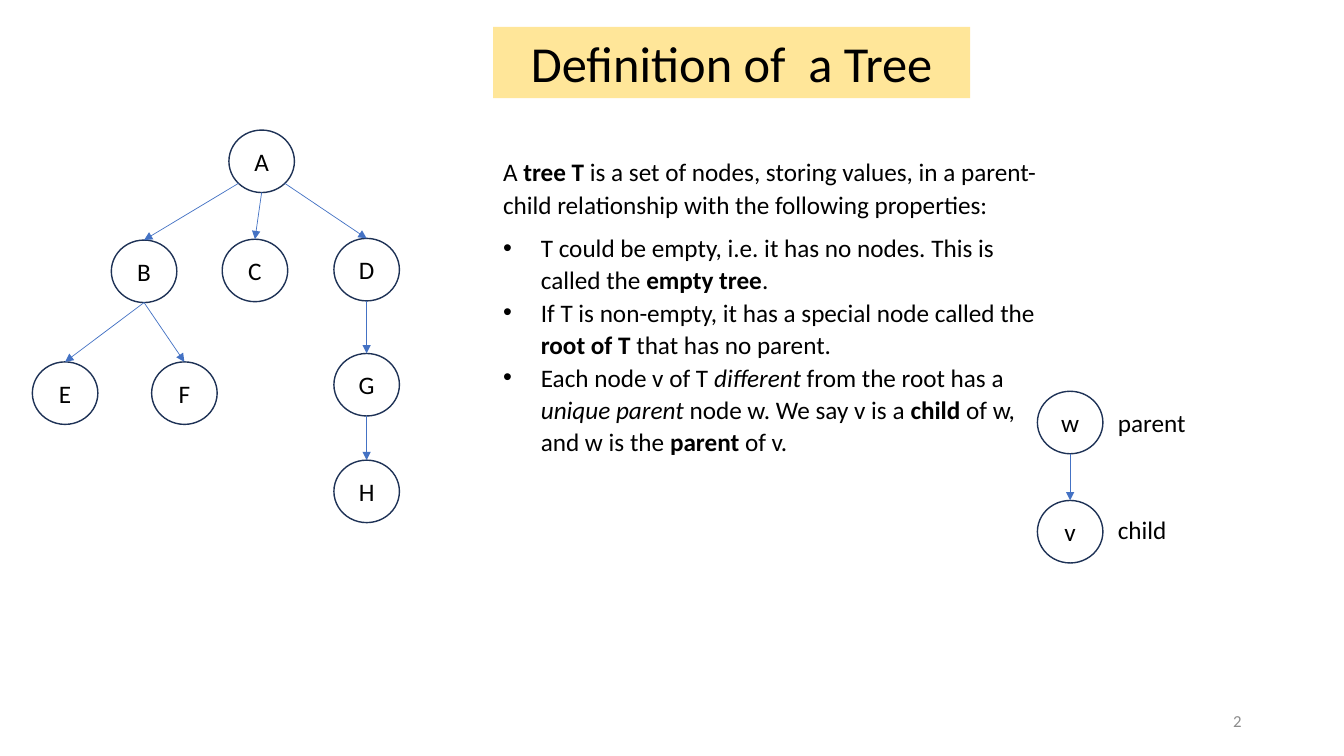
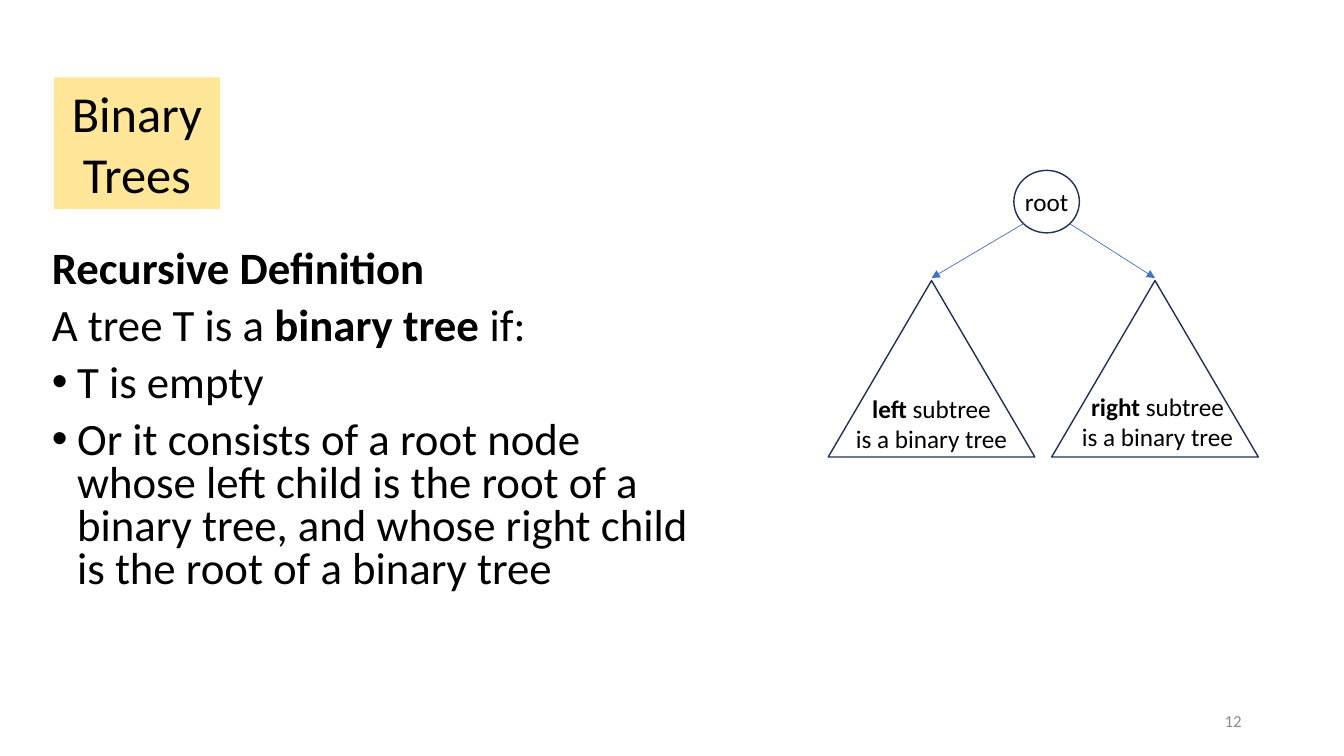
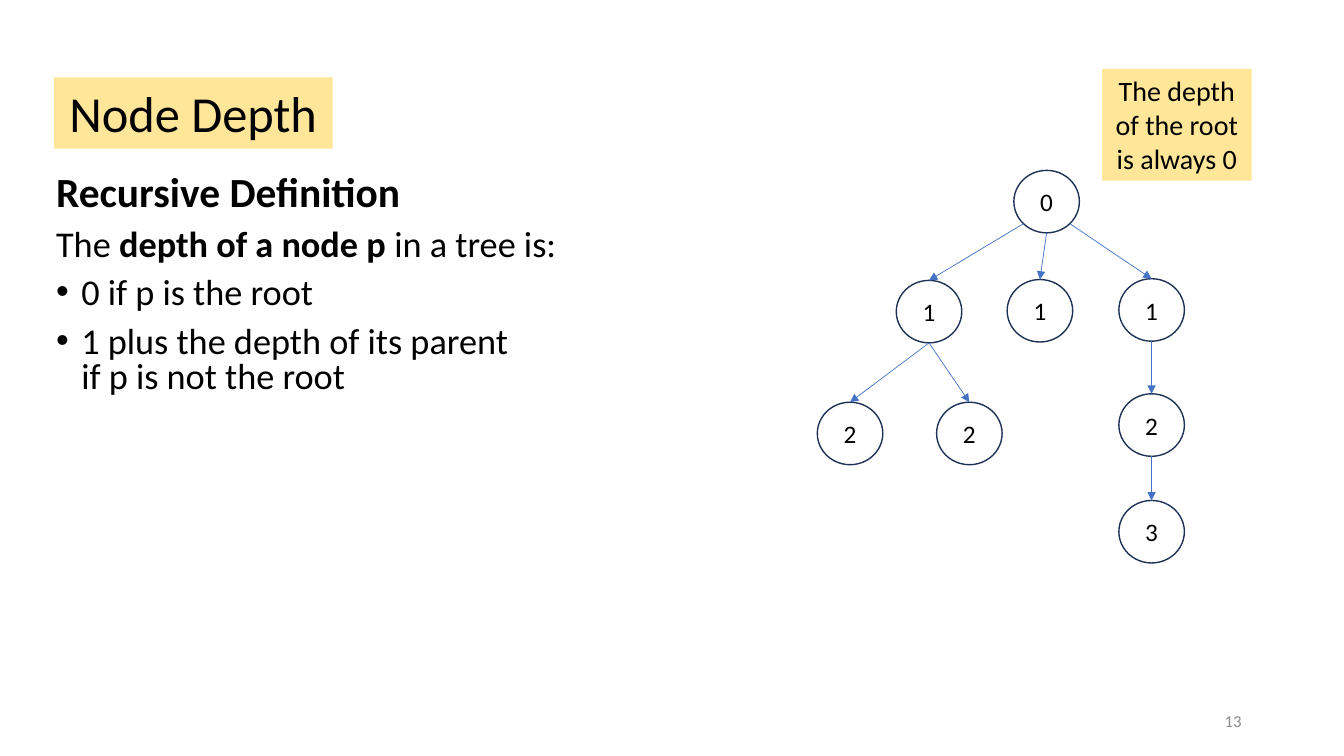
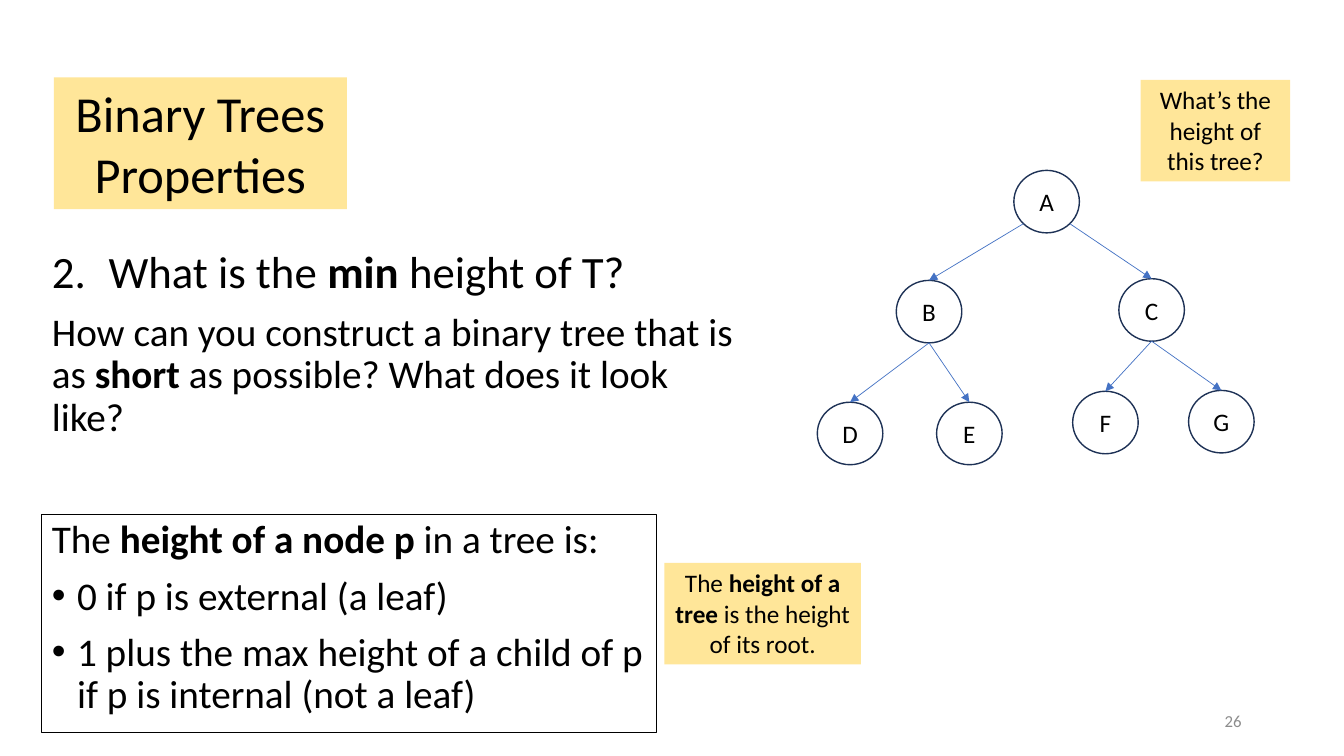
from math import sqrt

from lxml.etree import SubElement
from pptx import Presentation
from pptx.dml.color import RGBColor
from pptx.enum.shapes import MSO_CONNECTOR as Line, MSO_SHAPE as Preset
from pptx.enum.text import MSO_ANCHOR as Anchor, PP_ALIGN as Align
from pptx.oxml.ns import qn
from pptx.util import Inches, Pt

BLACK = RGBColor(0x00, 0x00, 0x00)
GRAY = RGBColor(0x8C, 0x8C, 0x8C)
NAVY = RGBColor(0x1E, 0x32, 0x56)
BLUE = RGBColor(0x44, 0x72, 0xC4)
SAND = RGBColor(0xFF, 0xE6, 0x99)

FONT = "Calibri"
COLUMNS, ROWS = 160, 90
SLIDE_WIDTH, SLIDE_HEIGHT = Inches(40 / 3), Inches(7.5)
NODE_WIDTH, NODE_HEIGHT = 7.8, 7.44
DIAGONAL = sqrt(0.5)
BULLET_INDENT = 3

GENERAL_TREE = {
    "A": (0, 0, None),
    "B": (-14, 13.1, "A"),
    "C": (-0.8, 13, "A"),
    "D": (12.5, 12.9, "A"),
    "E": (-23.4, 27.6, "B"),
    "F": (-9.2, 27.6, "B"),
    "G": (12.5, 26.6, "D"),
    "H": (12.5, 39.3, "G"),
}
BINARY_TREE = {
    "A": (0, 0, None),
    "B": (-14, 13.1, "A"),
    "C": (12.5, 12.9, "A"),
    "D": (-23.4, 27.6, "B"),
    "E": (-9.2, 27.6, "B"),
    "F": (7, 26.3, "C"),
    "G": (20.8, 26.2, "C"),
}
PARENT_AND_CHILD = {"w": (0, 0, None), "v": (0, 13, "w")}
ROOT_PLACE = (124.6, 24)


def across(columns):
    return round(SLIDE_WIDTH * columns / COLUMNS)


def down(rows):
    return round(SLIDE_HEIGHT * rows / ROWS)


def depth(tree, name):
    parent = tree[name][2]
    return 0 if parent is None else 1 + depth(tree, parent)


def write(frame, text, size=18, color=BLACK, align=Align.LEFT, spacing=1.0,
          before=0, after=0, indent=0, bullet=None, number=None):
    """Add a paragraph in which *stars* mark bold and _underscores_ mark italic."""
    first = frame.paragraphs[0]
    para = frame.add_paragraph() if first.runs else first
    para.alignment = align
    para.line_spacing = spacing
    para.space_before, para.space_after = Pt(before), Pt(after)
    if indent:
        layout = para._p.get_or_add_pPr()
        layout.set("marL", str(across(indent)))
        layout.set("indent", str(-across(indent)))
        if number:
            SubElement(layout, qn("a:buAutoNum"), type="arabicPeriod", startAt=str(number))
        else:
            SubElement(layout, qn("a:buFont"), typeface="Arial")
            SubElement(layout, qn("a:buChar"), char=bullet)
    for bold_index, bold_part in enumerate(text.split("*")):
        for italic_index, part in enumerate(bold_part.split("_")):
            for line_index, line in enumerate(part.split("\n")):
                if line_index:
                    para.add_line_break()
                if line:
                    span = para.add_run()
                    span.text = line
                    span.font.name, span.font.size = FONT, Pt(size)
                    span.font.color.rgb = color
                    span.font.bold = bold_index % 2 == 1
                    span.font.italic = italic_index % 2 == 1


class TreeDeck:
    def __init__(self):
        self.deck = Presentation()
        self.deck.slide_width, self.deck.slide_height = SLIDE_WIDTH, SLIDE_HEIGHT
        self.page = None

    def start_page(self, number):
        self.page = self.deck.slides.add_slide(self.deck.slide_layouts[6])
        frame = self.text_box(113, 83.4, 36, 4.8)
        frame.vertical_anchor = Anchor.MIDDLE
        write(frame, str(number), size=12, color=GRAY, align=Align.RIGHT)

    def text_box(self, left, top, width, height):
        box = self.page.shapes.add_textbox(across(left), down(top), across(width), down(height))
        box.text_frame.word_wrap = True
        return box.text_frame

    def shape(self, preset, left, top, width, height, fill=None, line=None, weight=1):
        shape = self.page.shapes.add_shape(
            preset, across(left), down(top), across(width), down(height))
        shape.shadow.inherit = False
        if fill is None:
            shape.fill.background()
        else:
            shape.fill.solid()
            shape.fill.fore_color.rgb = fill
        if line is None:
            shape.line.fill.background()
        else:
            shape.line.color.rgb = line
            shape.line.width = Pt(weight)
        shape.text_frame.vertical_anchor = Anchor.TOP
        return shape

    def card(self, text, left, top, width, height, size=18):
        card = self.shape(Preset.RECTANGLE, left, top, width, height, fill=SAND)
        write(card.text_frame, text, size=size, align=Align.CENTER)

    def title(self, text, width, left=6.4, top=9.2, lines=1):
        self.card(text, left, top, width, 1.3 + 7.2 * lines, size=36)

    def label(self, text, left, top, width=12, height=4.8, align=Align.LEFT):
        write(self.text_box(left, top, width, height), text, align=align)

    def node(self, text, x, y):
        node = self.shape(Preset.OVAL, x - NODE_WIDTH / 2, y - NODE_HEIGHT / 2,
                          NODE_WIDTH, NODE_HEIGHT, line=NAVY)
        frame = node.text_frame
        frame.word_wrap = False
        frame.vertical_anchor = Anchor.MIDDLE
        frame.margin_left = frame.margin_right = frame.margin_top = frame.margin_bottom = 0
        write(frame, text, align=Align.CENTER)

    def arrow(self, start, end):
        arrow = self.page.shapes.add_connector(
            Line.STRAIGHT, across(start[0]), down(start[1]), across(end[0]), down(end[1]))
        arrow.line.color.rgb = BLUE
        arrow.line.width = Pt(0.5)
        SubElement(arrow.line._get_or_add_ln(), qn("a:tailEnd"), type="triangle")
        SubElement(arrow._element.spPr, qn("a:effectLst"))

    def branch(self, parent, tip, from_root=False):
        x, y = parent
        shift = tip[0] - x
        if from_root and abs(shift) > NODE_WIDTH / 2:
            side = DIAGONAL if shift > 0 else -DIAGONAL
            start = (x + side * NODE_WIDTH / 2, y + DIAGONAL * NODE_HEIGHT / 2)
        else:
            start = (x, y + NODE_HEIGHT / 2)
        self.arrow(start, tip)

    def tree(self, tree, root, show_depth=False):
        places = {name: (root[0] + dx, root[1] + dy) for name, (dx, dy, _) in tree.items()}
        for name, place in places.items():
            self.node(str(depth(tree, name)) if show_depth else name, *place)
        for name, (x, y) in places.items():
            parent = tree[name][2]
            if parent is not None:
                self.branch(places[parent], (x, y - NODE_HEIGHT / 2), tree[parent][2] is None)


def definition_page(deck):
    deck.start_page(2)
    deck.title("Definition of  a Tree", 56.8, left=58.7, top=3.2)
    deck.tree(GENERAL_TREE, (31.15, 19.2))
    body = deck.text_box(58.7, 17.8, 67.6, 37.4)
    write(body, "A *tree T* is a set of nodes, storing values, in a parent-child "
                "relationship with the following properties:", spacing=1.07, after=8)
    for text in (
        "T could be empty, i.e. it has no nodes. This is called the *empty tree*.",
        "If T is non-empty, it has a special node called the *root of T* that has no parent.",
        "Each node v of T _different_ from the root has a _unique parent_ node w. "
        "We say v is a *child* of w, and w is the *parent* of v.",
    ):
        write(body, text, spacing=1.07, indent=4.5, bullet="•")
    deck.tree(PARENT_AND_CHILD, (127.4, 50.3))
    deck.label("parent", 131.9, 47.9)
    deck.label("child", 131.9, 60.6)


def binary_trees_page(deck):
    deck.start_page(12)
    deck.title("Binary Trees", 19.8, lines=2)
    body = deck.text_box(5, 29.2, 79.1, 45.5)
    style = dict(size=32, spacing=0.8, before=10)
    write(body, "*Recursive Definition*", **style)
    write(body, "A tree T is a *binary tree *if:", **style)
    for text in (
        "T is empty",
        "Or it consists of a root node whose left child is the root of a binary tree, "
        "and whose right child is the root of a binary tree",
    ):
        write(body, text, indent=BULLET_INDENT, bullet="•", **style)
    deck.node("root", *ROOT_PLACE)
    width, height, top = 24.6, 21, 33.4
    for side, left, label_left, label_top in (
        ("left", 98.6, 100.4, 46.2),
        ("right", 125.2, 127.3, 46),
    ):
        deck.shape(Preset.ISOSCELES_TRIANGLE, left, top, width, height, line=NAVY)
        deck.branch(ROOT_PLACE, (left + width / 2, top - 0.3), from_root=True)
        deck.label(f"*{side}* subtree\nis a binary tree", label_left, label_top,
                   width=21, height=8.5, align=Align.CENTER)


def node_depth_page(deck):
    deck.start_page(13)
    deck.title("Node Depth", 33.2)
    body = deck.text_box(5.5, 20.3, 67.2, 29)
    style = dict(spacing=0.8, before=10)
    write(body, "*Recursive Definition*", size=29.6, **style)
    write(body, "The *depth of a node p *in a tree is:", size=25.9, **style)
    for text in ("0 if p is the root", "1 plus the depth of its parent \nif p is not the root"):
        write(body, text, size=25.9, indent=BULLET_INDENT, bullet="•", **style)
    deck.tree(GENERAL_TREE, ROOT_PLACE, show_depth=True)
    deck.card("The depth of the root is always 0", 131.2, 8.2, 17.8, 13.3, size=20)


def properties_page(deck):
    deck.start_page(26)
    deck.title("Binary Trees Properties", 34.9, lines=2)
    style = dict(spacing=0.9, before=10)
    body = deck.text_box(5, 29.2, 85.2, 26)
    write(body, "What is the *min* height of T?", size=32, indent=6.75, number=2, **style)
    write(body, "How can you construct a binary tree that is as *short* as possible? "
                "What does it look like?", size=28, **style)
    frame = deck.shape(Preset.RECTANGLE, 5, 61.3, 73.2, 25.9, line=BLACK, weight=0.75).text_frame
    write(frame, "The *height of a node p *in a tree is:", size=28, **style)
    for text in (
        "0 if p is external (a leaf)",
        "1 plus the max height of a child of p\nif p is internal (not a leaf)",
    ):
        write(frame, text, size=28, indent=BULLET_INDENT, bullet="•", **style)
    deck.card("The *height of a tree *is the height of its root.", 79.1, 67, 23.4, 12.1)
    deck.tree(BINARY_TREE, ROOT_PLACE)
    deck.card("What’s the height of this tree?", 135.8, 9.5, 17.8, 12.1)


def main():
    deck = TreeDeck()
    for build_page in (definition_page, binary_trees_page, node_depth_page, properties_page):
        build_page(deck)
    deck.deck.save("out.pptx")


if __name__ == "__main__":
    main()
